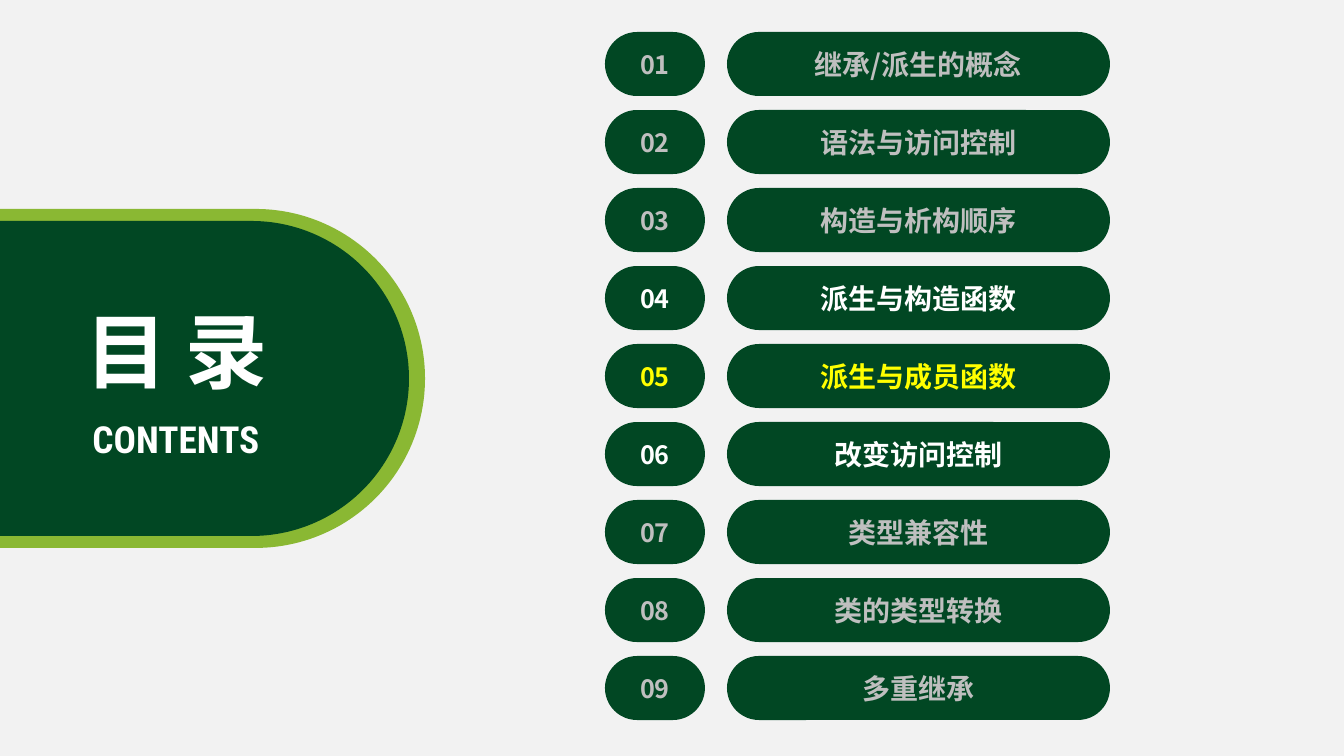
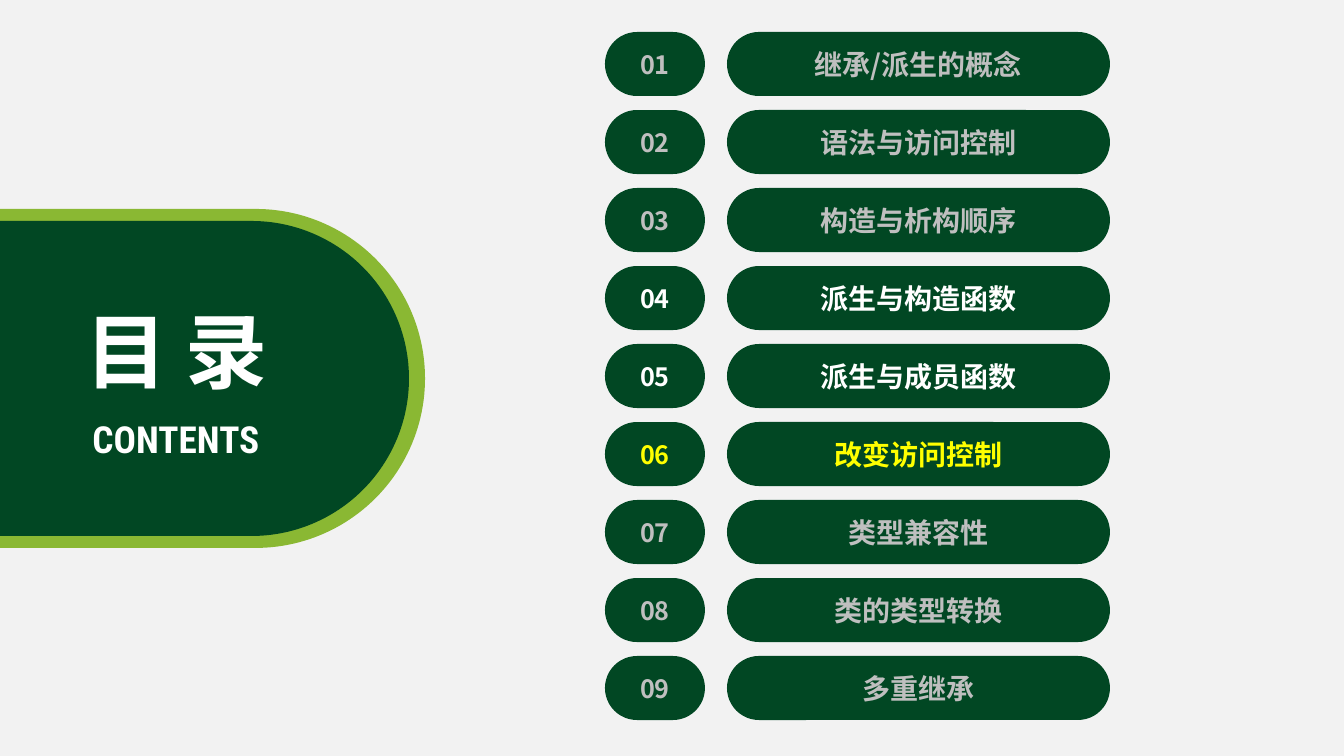
import pptx
import pptx.dml.color
import pptx.enum.shapes
import pptx.enum.text
import pptx.oxml
import pptx.oxml.ns
import pptx.util

PX = 12192000 / 1344  # EMU per px

BACKGROUND = pptx.dml.color.RGBColor(0xF2, 0xF2, 0xF2)
LIME = pptx.dml.color.RGBColor(0x8A, 0xB8, 0x33)
GREEN = pptx.dml.color.RGBColor(0x01, 0x47, 0x23)
GREY = pptx.dml.color.RGBColor(0xBF, 0xBF, 0xBF)
WHITE = pptx.dml.color.RGBColor(0xFF, 0xFF, 0xFF)
YELLOW = pptx.dml.color.RGBColor(0xFF, 0xFF, 0x00)

CJK_FONT = "Noto Sans CJK SC"
LATIN_FONT = "Roboto Condensed"

CHAPTERS = ["继承/派生的概念", "语法与访问控制", "构造与析构顺序",
            "派生与构造函数", "派生与成员函数", "改变访问控制",
            "类型兼容性", "类的类型转换", "多重继承"]
SESSION = (4, 5, 6)  # chapters shown in white
CURRENT_CHAPTERS = (5, 6)  # highlighted chapter of each slide

ROW_TOP, ROW_STEP, ROW_HEIGHT = 32, 78, 64
NUMBER_LEFT, NUMBER_WIDTH = 605, 100
CHAPTER_LEFT, CHAPTER_WIDTH = 727, 383


def add_pill(slide, left, top, width, height, color):
    pill = slide.shapes.add_shape(
        pptx.enum.shapes.MSO_SHAPE.ROUNDED_RECTANGLE,
        *(round(length * PX) for length in (left, top, width, height)))
    pill.adjustments[0] = 0.5
    pill.shadow.inherit = False
    pill.fill.solid()
    pill.fill.fore_color.rgb = color
    pill.line.fill.background()
    return pill


def write(shape, text, size, color, font_name=CJK_FONT):
    shape.text_frame.text = text
    paragraph = shape.text_frame.paragraphs[0]
    paragraph.alignment = pptx.enum.text.PP_ALIGN.CENTER
    font = paragraph.font
    font.name = font_name
    font.size = pptx.util.Pt(size)
    font.bold = True
    font.color.rgb = color
    # East Asian typeface follows the Latin one
    for latin in list(shape.element.iter(pptx.oxml.ns.qn("a:latin"))):
        latin.addnext(pptx.oxml.parse_xml(
            f'<a:ea {pptx.oxml.ns.nsdecls("a")} typeface="{font_name}"/>'))


presentation = pptx.Presentation()
presentation.slide_width = round(1344 * PX)
presentation.slide_height = round(756 * PX)

# Shared background
master_fill = presentation.slide_master.background.fill
master_fill.solid()
master_fill.fore_color.rgb = BACKGROUND

for current in CURRENT_CHAPTERS:
    slide = presentation.slides.add_slide(presentation.slide_layouts[5])

    # Side plate
    add_pill(slide, -198, 209, 623, 339, LIME)
    add_pill(slide, -171, 221, 580, 315, GREEN)

    # Heading, raised above the plate
    heading = slide.shapes.title
    heading.element.getparent().append(heading.element)
    heading.left, heading.top = round(71 * PX), round(295 * PX)
    heading.width, heading.height = round(211 * PX), round(110 * PX)
    heading.text_frame.word_wrap = False
    heading.text_frame.auto_size = pptx.enum.text.MSO_AUTO_SIZE.NONE
    heading.text_frame.vertical_anchor = pptx.enum.text.MSO_ANCHOR.TOP
    write(heading, "目 录", 58.6, WHITE)

    subheading = slide.shapes.add_textbox(
        round(62 * PX), round(411 * PX), round(228 * PX), round(55 * PX))
    subheading.text_frame.word_wrap = False
    write(subheading, "CONTENTS", 26.6, WHITE, LATIN_FONT)

    # Chapter list
    for number, chapter in enumerate(CHAPTERS, start=1):
        if number == current:
            color = YELLOW
        elif number in SESSION:
            color = WHITE
        else:
            color = GREY
        top = ROW_TOP + (number - 1) * ROW_STEP
        for left, width, text, size in (
                (NUMBER_LEFT, NUMBER_WIDTH, f"{number:02}", 18),
                (CHAPTER_LEFT, CHAPTER_WIDTH, chapter, 20)):
            pill = add_pill(slide, left, top, width, ROW_HEIGHT, GREEN)
            pill.text_frame.vertical_anchor = pptx.enum.text.MSO_ANCHOR.MIDDLE
            write(pill, text, size, color)

presentation.save("out.pptx")
